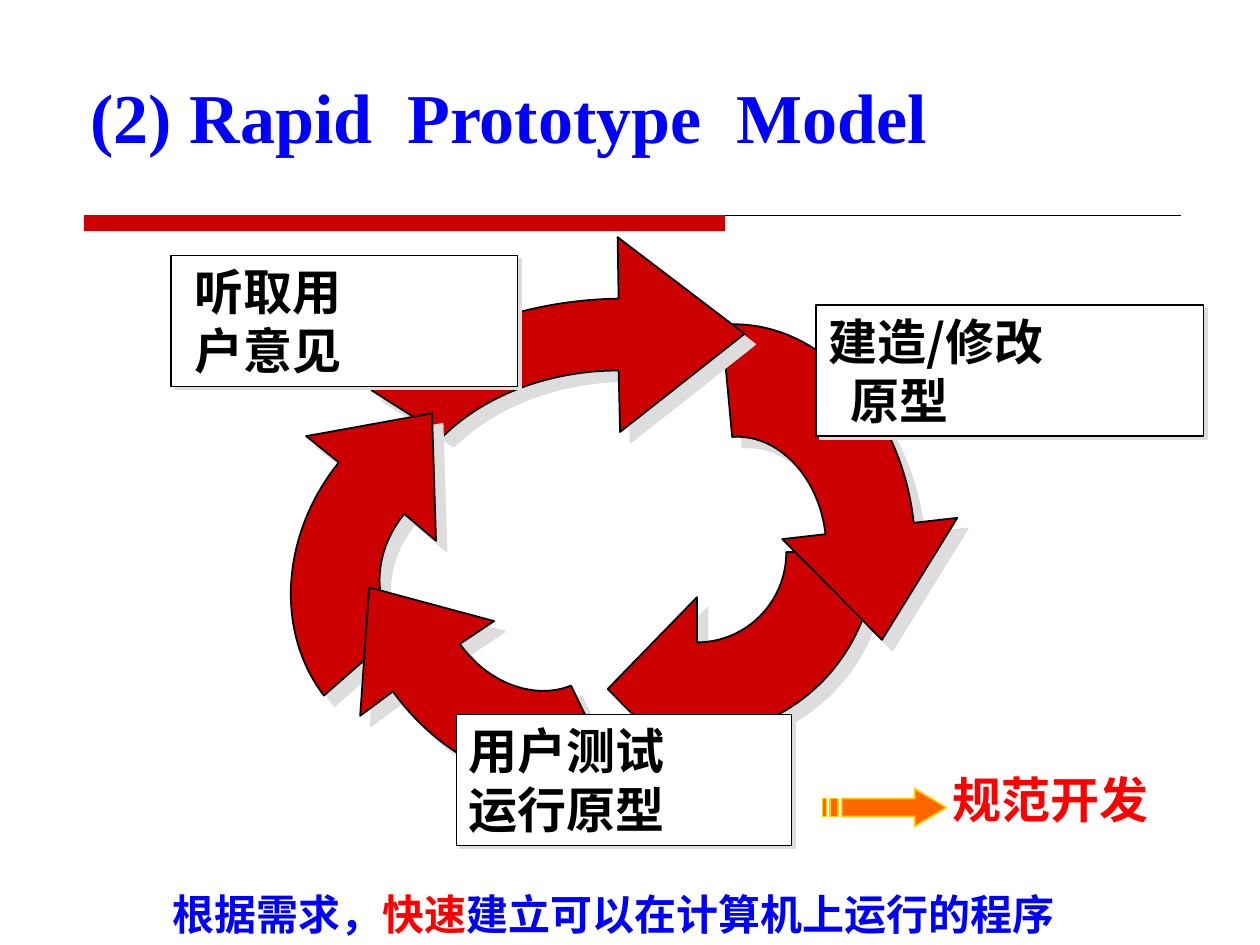
from dataclasses import dataclass
from math import cos, radians, sin

from lxml.etree import SubElement
from pptx import Presentation
from pptx.dml.color import RGBColor
from pptx.enum.shapes import MSO_CONNECTOR as Link, MSO_SHAPE as Preset
from pptx.enum.text import MSO_ANCHOR as Anchor, MSO_AUTO_SIZE as Fit, PP_ALIGN as Align
from pptx.oxml.ns import qn
from pptx.util import Cm, Pt

COLORS = {
    "blue": "0000FF",
    "text_red": "FF0000",
    "arrow_red": "CC0000",
    "orange": "FF6600",
    "yellow": "FFCC00",
    "black": "000000",
    "white": "FFFFFF",
    "shadow": "DDDDDD",
}
LATIN = "Times New Roman"
CHINESE = "Noto Sans CJK SC"

Point = tuple[float, float]
Frame = tuple[float, float, float, float]


@dataclass
class Span:
    text: str
    color: str


@dataclass
class Line:
    spans: list[Span]
    indent: float = 0


@dataclass
class Card:
    frame: Frame
    lines: list[Line]


@dataclass
class CycleArrow:
    frame: Frame
    rotation: float
    inner: list[Point]
    outer: list[Point]
    head: list[Point]


ARROWS = [
    CycleArrow(
        (10.34, 7.49, 7.42, 7.19), 90,
        [(14.05, 12.95), (15.04, 12.95), (15.85, 12.14), (15.85, 11.13)],
        [(17.65, 11.13), (17.63, 13.16), (16.03, 14.81), (14.05, 14.81)],
        [(14.05, 15.72), (12.25, 13.89), (14.05, 12.04)],
    ),
    CycleArrow(
        (11.46, 6.53, 7.01, 8.92), 354.5,
        [(16.64, 10.77), (16.51, 9.6), (15.67, 8.74), (14.76, 8.81)],
        [(14.55, 6.55), (16.43, 6.38), (18.16, 8.15), (18.42, 10.54)],
        [(19.3, 10.44), (17.78, 12.9), (15.77, 10.87)],
    ),
    CycleArrow(
        (7.54, 4.55, 9.96, 12.9), 90,
        [(12.47, 7.47), (11.1, 7.47), (9.8, 7.95), (8.94, 8.79)],
        [(7.49, 7.87), (8.71, 6.73), (10.54, 6.05), (12.47, 6.02)],
        [(12.45, 4.78), (15.01, 6.73), (12.5, 8.71)],
    ),
    CycleArrow(
        (6.07, 7.52, 6.78, 7.82), 218.9,
        [(8.15, 10.36), (7.54, 11.1), (7.49, 12.09), (8, 12.73)],
        [(6.53, 14.02), (5.54, 12.73), (5.66, 10.77), (6.83, 9.32)],
        [(6.17, 8.79), (8.71, 8.33), (8.79, 10.9)],
    ),
    CycleArrow(
        (7.32, 8.03, 6.6, 8), 144.6,
        [(9.27, 12.98), (9.83, 13.77), (10.77, 14.12), (11.51, 13.82)],
        [(12.37, 15.6), (10.9, 16.21), (9.04, 15.49), (7.92, 13.94)],
        [(7.26, 14.43), (7.44, 11.84), (9.96, 12.52)],
    ),
]
BUILD_CARD = Card((16.45, 6.15, 7.82, 2.64),
                  [Line([Span("建造/修改", "black")]), Line([Span("原型", "black")], 0.44)])
OTHER_CARDS = [
    Card((9.2, 14.4, 6.76, 2.64),
         [Line([Span("用户测试", "black")]), Line([Span("运行原型", "black")])]),
    Card((3.45, 5.15, 6.99, 2.64),
         [Line([Span("听取用", "black")], 0.22), Line([Span("户意见", "black")], 0.22)]),
]


def rgb(name: str) -> RGBColor:
    return RGBColor.from_string(COLORS[name])


def paint(shape, fill: str, line: str | None, width: float = 1) -> None:
    shape.shadow.inherit = False
    shape.fill.solid()
    shape.fill.fore_color.rgb = rgb(fill)
    if line is None:
        shape.line.fill.background()
        return
    shape.line.color.rgb = rgb(line)
    shape.line.width = Pt(width)


def cast_shadow(shape, distance: float) -> None:
    effects = shape._element.spPr.find(qn("a:effectLst"))
    shadow = SubElement(effects, qn("a:outerShdw"), dist=str(Pt(distance)),
                        dir="2700000", algn="ctr", rotWithShape="0")
    SubElement(shadow, qn("a:srgbClr"), val=COLORS["shadow"])


def write(shape, lines: list[Line], size: float, latin: str = CHINESE,
          anchor=Anchor.TOP, align=Align.LEFT, spacing: float = 1,
          wrap: bool = True, fit=Fit.SHAPE_TO_FIT_TEXT) -> None:
    frame = shape.text_frame
    layout = {"word_wrap": wrap, "vertical_anchor": anchor, "auto_size": fit}
    for key, value in layout.items():
        setattr(frame, key, value)
    for index, line in enumerate(lines):
        para = frame.add_paragraph() if index else frame.paragraphs[0]
        for key, value in {"alignment": align, "line_spacing": spacing}.items():
            setattr(para, key, value)
        para._p.get_or_add_pPr().set("marL", str(Cm(line.indent)))
        for span in line.spans:
            run = para.add_run()
            run.text = span.text
            for key, value in {"size": Pt(size), "bold": True, "name": latin}.items():
                setattr(run.font, key, value)
            run.font.color.rgb = rgb(span.color)
            SubElement(run._r.get_or_add_rPr(), qn("a:ea"), typeface=CHINESE)


def add_text(page, frame: Frame, lines: list[Line], size: float, **options) -> None:
    box = page.shapes.add_textbox(*map(Cm, frame))
    write(box, lines, size, **options)


def add_outline(page, contours: list[list[Point]]):
    scaled = [[(Cm(x), Cm(y)) for x, y in contour] for contour in contours]
    builder = page.shapes.build_freeform(*scaled[0][0])
    for index, contour in enumerate(scaled):
        if index:
            builder.move_to(*contour[0])
        builder.add_line_segments(contour[1:], close=True)
    return builder.convert_to_shape()


def to_local(point: Point, frame: Frame, rotation: float) -> Point:
    left, top, width, height = frame
    across, down = point[0] - left - width / 2, point[1] - top - height / 2
    cosine, sine = cos(radians(rotation)), sin(radians(rotation))
    return (across * cosine + down * sine + width / 2,
            down * cosine - across * sine + height / 2)


def add_cycle_arrow(page, arrow: CycleArrow) -> None:
    left, top, width, height = arrow.frame
    corners = [(left, top), (left + width, top),
               (left + width, top + height), (left, top + height)]
    shape = add_outline(page, [corners])
    outline = next(shape._element.iter(qn("a:path")))
    for segment in list(outline):
        outline.remove(segment)
    commands = [("moveTo", arrow.inner[:1]), ("cubicBezTo", arrow.inner[1:]),
                ("lnTo", arrow.outer[:1]), ("cubicBezTo", arrow.outer[1:]),
                *(("lnTo", [point]) for point in arrow.head), ("close", [])]
    for command, points in commands:
        segment = SubElement(outline, qn(f"a:{command}"))
        for point in points:
            x, y = to_local(point, arrow.frame, arrow.rotation)
            SubElement(segment, qn("a:pt"), x=str(Cm(x)), y=str(Cm(y)))
    shape.rotation = arrow.rotation
    paint(shape, "arrow_red", "black")
    cast_shadow(shape, 8.5)


def add_card(page, card: Card) -> None:
    box = page.shapes.add_shape(Preset.RECTANGLE, *map(Cm, card.frame))
    paint(box, "white", "black", 0.75)
    cast_shadow(box, 2.8)
    write(box, card.lines, 28)


def add_title_rule(page) -> None:
    thin = page.shapes.add_connector(Link.STRAIGHT, Cm(1.7), Cm(4.34), Cm(23.8), Cm(4.34))
    thin.line.color.rgb = rgb("black")
    thin.line.width = Pt(0.75)
    SubElement(thin._element.spPr, qn("a:effectLst"))
    bar = page.shapes.add_shape(Preset.RECTANGLE, Cm(1.69), Cm(4.34), Cm(12.93), Cm(0.32))
    paint(bar, "arrow_red", None)


def add_striped_arrow(page) -> None:
    top, bottom = 16.1, 16.46
    arrow = [(18.44, 15.9), (18.44, top), (16.97, top), (16.97, bottom),
             (18.44, bottom), (18.44, 16.66), (19.08, 16.28)]
    stripes = [[(left, top), (left, bottom), (right, bottom), (right, top)]
               for left, right in ((16.74, 16.89), (16.58, 16.66))]
    paint(add_outline(page, [arrow, *stripes]), "orange", "yellow")


def main() -> None:
    deck = Presentation()
    deck.slide_width, deck.slide_height = Cm(25.4), Cm(19.05)
    page = deck.slides.add_slide(deck.slide_layouts[6])
    add_title_rule(page)
    add_text(page, (1.58, 1.02, 20.88, 2.87),
             [Line([Span("(2) Rapid  Prototype  Model", "blue")])], 40,
             latin=LATIN, anchor=Anchor.MIDDLE, spacing=0.85, fit=Fit.NONE)
    for arrow in ARROWS[:3]:
        add_cycle_arrow(page, arrow)
    add_card(page, BUILD_CARD)
    for arrow in ARROWS[3:]:
        add_cycle_arrow(page, arrow)
    for card in OTHER_CARDS:
        add_card(page, card)
    add_text(page, (18.95, 15.52, 5.77, 1.32),
             [Line([Span("规范开发", "text_red")])], 28, spacing=0.9)
    add_striped_arrow(page)
    add_text(page, (2.99, 17.78, 18.77, 1.3),
             [Line([Span("根据需求，", "blue"), Span("快速", "text_red"),
                    Span("建立可以在计算机上运行的程序", "blue")])], 24,
             latin=LATIN, align=Align.CENTER, wrap=False)
    deck.save("out.pptx")


if __name__ == "__main__":
    main()
